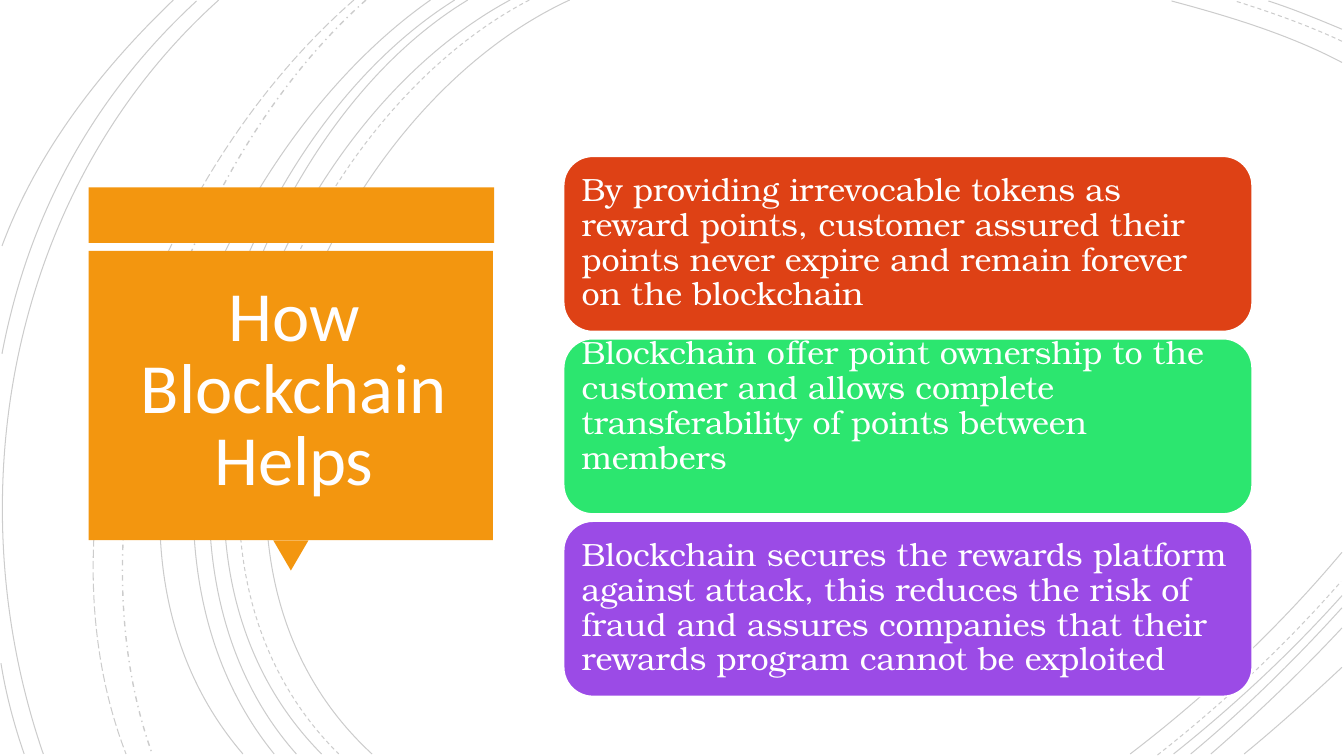
from lxml import etree
from pptx import Presentation
from pptx.dml.color import RGBColor
from pptx.enum.dml import MSO_LINE
from pptx.enum.shapes import MSO_SHAPE
from pptx.enum.text import MSO_ANCHOR, PP_ALIGN
from pptx.oxml.ns import qn
from pptx.util import Inches, Pt

SOLID, DASH = MSO_LINE.SOLID, MSO_LINE.DASH
DASH_DOT, LONG_DASH = MSO_LINE.DASH_DOT, MSO_LINE.LONG_DASH
RECT, TRIANGLE, ROUNDED = MSO_SHAPE.RECTANGLE, MSO_SHAPE.ISOSCELES_TRIANGLE, MSO_SHAPE.ROUNDED_RECTANGLE
LEFT, CENTER, MIDDLE = PP_ALIGN.LEFT, PP_ALIGN.CENTER, MSO_ANCHOR.MIDDLE
rgb = RGBColor.from_string

prs = Presentation()
prs.slide_width, prs.slide_height = Inches(13.33), Inches(7.5)
slide = prs.slides.add_slide(prs.slide_layouts[6])


def add_block(kind, left, top, width, height, fill, outline=None):
    block = slide.shapes.add_shape(kind, Inches(left), Inches(top), Inches(width), Inches(height))
    block.shadow.inherit = False
    block.fill.solid()
    block.fill.fore_color.rgb = rgb(fill)
    if outline:
        block.line.color.rgb = rgb(outline)
        block.line.width = Pt(1.25)
    else:
        block.line.fill.background()
    return block


def add_text(text, left, top, width, height, *, font, size, color, spacing, inset, align=LEFT):
    frame = slide.shapes.add_textbox(Inches(left), Inches(top), Inches(width), Inches(height)).text_frame
    frame.word_wrap = True
    frame.vertical_anchor = MIDDLE
    frame.margin_left = frame.margin_right = frame.margin_top = frame.margin_bottom = Inches(inset)
    paragraph = frame.paragraphs[0]
    paragraph.text = text
    paragraph.alignment = align
    paragraph.line_spacing = spacing
    for run in paragraph.runs:
        run.font.name, run.font.size = font, Pt(size)
        run.font.color.rgb = rgb(color)
    line_end = etree.SubElement(paragraph._p, qn("a:endParaRPr"), sz=str(int(size * 100)))
    etree.SubElement(line_end, qn("a:latin"), typeface=font)


arcs = [
    ((5.65, 0), (3.15, 1.15), (1.43, 5.4), (3.69, 7.48), SOLID),
    ((13.31, 0.62), (12.78, 0.34), (12.18, 0.16), (11.62, 0.01), SOLID),
    ((11.21, 7.48), (11.97, 6.9), (12.69, 6.22), (13.31, 5.48), SOLID),
    ((5.25, 0), (2.85, 1.25), (1.23, 5.37), (3.36, 7.48), DASH),
    ((13.31, 0.41), (12.97, 0.25), (12.6, 0.12), (12.25, 0.01), DASH),
    ((11.48, 7.49), (12.13, 6.98), (12.75, 6.4), (13.3, 5.77), DASH),
    ((5.06, 0), (2.7, 1.27), (1.1, 5.37), (3.19, 7.48), SOLID),
    ((13.31, 0.29), (13.07, 0.19), (12.83, 0.09), (12.58, 0.01), SOLID),
    ((11.64, 7.48), (12.23, 7.01), (12.8, 6.48), (13.31, 5.91), SOLID),
    ((4.64, 0), (2.44, 1.33), (1.1, 5.41), (2.94, 7.48), SOLID),
    ((11.81, 7.48), (12.34, 7.04), (12.84, 6.55), (13.31, 6.03), SOLID),
    ((4.51, 0), (2.31, 1.38), (0.97, 5.33), (2.72, 7.48), SOLID),
    ((12.01, 7.48), (12.46, 7.09), (12.9, 6.67), (13.31, 6.23), SOLID),
    ((4.27, 0), (2.17, 1.47), (0.53, 5.29), (2.41, 7.48), SOLID),
    ((12.34, 7.48), (12.67, 7.21), (12.99, 6.92), (13.31, 6.62), SOLID),
    ((3.63, 0), (1.76, 1.66), (0.65, 5.09), (1.51, 7.48), DASH_DOT),
    ((3.51, 0), (1.57, 1.69), (0.29, 4.99), (1.25, 7.48), LONG_DASH),
    ((2.17, 0), (0.11, 1.85), (-0.46, 4.9), (0.43, 7.48), SOLID),
    ((1.95, 0.01), (0.92, 0.96), (0.28, 2.14), (0.02, 3.51), SOLID),
    ((0.01, 6.58), (0.06, 6.89), (0.14, 7.19), (0.24, 7.48), SOLID),
    ((1.72, 0), (1, 0.69), (0.37, 1.5), (0.02, 2.44), SOLID),
]
for *controls, dash in arcs:
    start, *bends = [(Inches(x), Inches(y)) for x, y in controls]
    builder = slide.shapes.build_freeform(*start)
    builder.add_line_segments(bends, close=False)
    arc = builder.convert_to_shape()
    outline = arc._element.find(".//" + qn("a:path"))
    curve = etree.SubElement(outline, qn("a:cubicBezTo"))
    for segment in outline.findall(qn("a:lnTo")):
        curve.append(segment[0])
        outline.remove(segment)
    arc.shadow.inherit = False
    arc.fill.background()
    arc.line.color.rgb = rgb("000000")
    arc.line.width = Pt(1 if dash == DASH_DOT else 0.75)
    arc.line.dash_style = dash
    line_color = arc.line._ln.find(".//" + qn("a:srgbClr"))
    etree.SubElement(line_color, qn("a:alpha"), val="20000")

add_block(RECT, 0.88, 1.86, 4.02, 0.55, "F3960F")
pointer = add_block(TRIANGLE, 2.71, 5.36, 0.35, 0.3, "F3960F")
pointer.rotation = 180
add_block(RECT, 0.88, 2.49, 4.01, 2.87, "F3960F")
add_text("How Blockchain Helps", 0.76, 2.46, 4.31, 2.86, font="Calibri", size=50.4,
         color="FFFEFF", spacing=0.85, inset=0.25, align=CENTER)

benefits = [
    ("By providing irrevocable tokens as reward points, customer assured their points "
     "never expire and remain forever on the blockchain", "DE4115"),
    ("Blockchain offer point ownership to the customer and allows complete "
     "transferability of points between members\v", "2CE66F"),
    ("Blockchain secures the rewards platform against attack, this reduces the risk of "
     "fraud and assures companies that their rewards program cannot be exploited", "9B4BE6"),
]
for row, (benefit, fill) in enumerate(benefits):
    top = 1.55 + row * 1.81
    card = add_block(ROUNDED, 5.59, top, 6.83, 1.74, fill, outline="FFFFFF")
    card.adjustments[0] = 0.167
    add_text(benefit, 5.67, top + 0.08, 6.66, 1.57, font="TeX Gyre Bonum", size=23,
             color="FFFFFF", spacing=0.9, inset=0.1)

prs.save("out.pptx")
